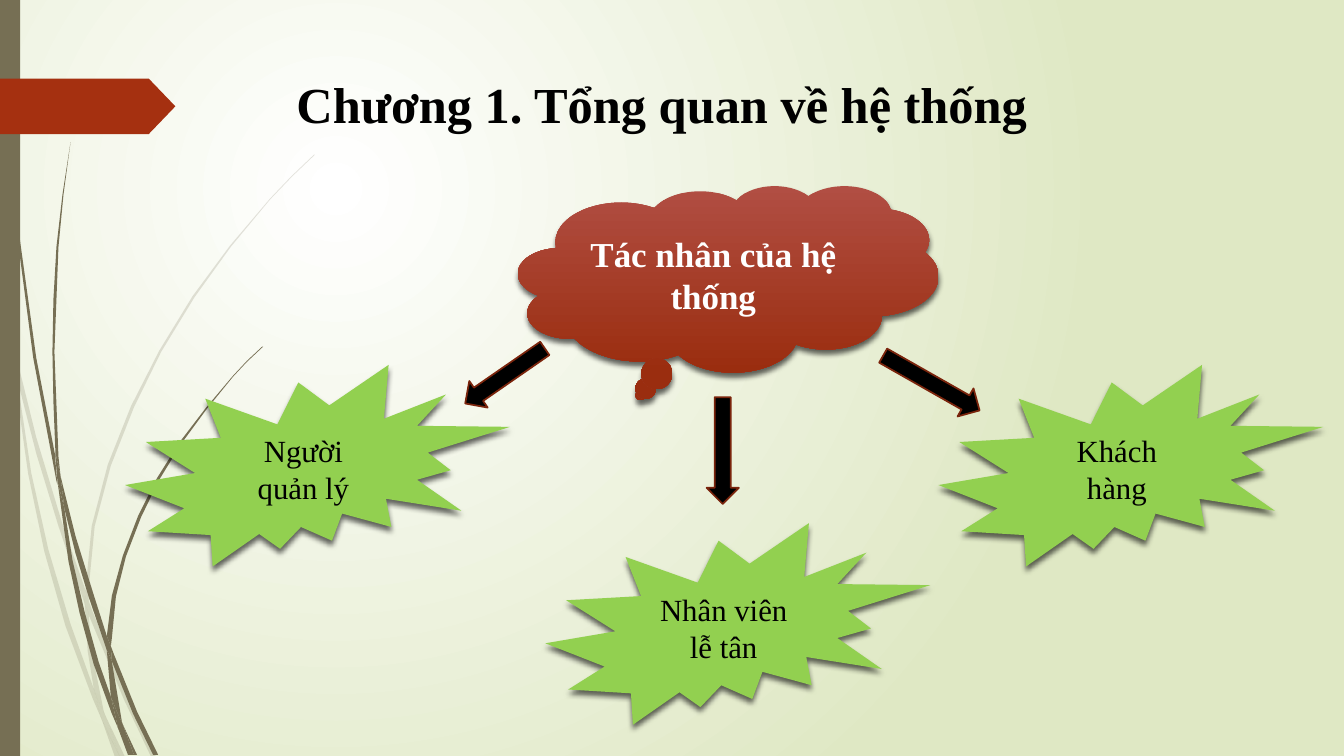
from lxml.etree import SubElement
from pptx import Presentation
from pptx.dml.color import RGBColor
from pptx.enum.shapes import MSO_SHAPE as Preset
from pptx.enum.text import MSO_ANCHOR as Anchor, PP_ALIGN as Align
from pptx.oxml.ns import qn
from pptx.util import Inches, Pt

WHITE = RGBColor(0xFF, 0xFF, 0xFF)
BLACK = RGBColor(0, 0, 0)
PALE_GREEN = RGBColor(0xDF, 0xE8, 0xC4)
OLIVE = RGBColor(0x76, 0x6F, 0x54)
RUST = RGBColor(0xA5, 0x30, 0x10)
DARK_RUST = RGBColor(0x7A, 0x24, 0x0C)
CLOUD_TOP = RGBColor(0xB1, 0x4E, 0x43)
CLOUD_BOTTOM = RGBColor(0x9A, 0x2D, 0x0F)
LIME = RGBColor(0x92, 0xD0, 0x50)

# Corners of the pieces that make up the blades of grass
PALE_GRASS = [
    [(.11, 3.5), (.09, 3.22), (0, 2.82), (0, 2.99), (.1, 3.44)],
    [(.58, 5.22), (.84, 5.99), (.85, 5.86), (.62, 5.2), (.36, 4.34), (.14, 3.45),
     (.17, 3.76), (.36, 4.5)],
    [(.92, 6.07), (.88, 5.96), (.88, 6.1), (1.23, 6.94), (1.5, 7.51), (1.55, 7.51),
     (1.27, 6.92)],
    [(1.19, 7.51), (1.24, 7.51), (1.05, 7.11)],
    [(.93, 6.83), (.7, 6.19), (.48, 5.45), (.31, 4.69), (.17, 3.76), (.11, 3.5),
     (.28, 4.7), (.44, 5.47), (.65, 6.21), (.92, 6.93), (1.01, 7.14), (.99, 7.07)],
    [(.84, 5.99), (.87, 6.46), (.93, 6.83), (.96, 6.92), (1.05, 7.11), (1.03, 7.06),
     (.91, 6.46), (.88, 6.1), (.88, 6.08)],
    [(.88, 5.84), (.94, 5.22), (1.1, 4.62), (1.33, 4.04), (1.6, 3.49), (1.93, 2.95),
     (2.29, 2.45), (2.68, 1.98), (2.9, 1.75), (3.12, 1.54), (3.12, 1.53), (2.89, 1.75),
     (2.68, 1.97), (2.28, 2.44), (1.91, 2.94), (1.58, 3.48), (1.3, 4.03), (1.07, 4.61),
     (.91, 5.22), (.85, 5.84), (.85, 5.86), (.88, 5.96)],
    [(1.01, 7.14), (1.14, 7.51), (1.19, 7.51)],
    [(.88, 6.08), (.88, 6.1), (.88, 5.96), (.85, 5.86), (.84, 5.99)],
    [(.96, 6.92), (.93, 6.83), (.99, 7.07), (1.01, 7.14), (1.19, 7.51), (1.05, 7.11)],
]
DARK_GRASS = [
    [(.07, 1.1), (.17, 2.33), (.33, 3.55), (.56, 4.77), (.57, 4.81), (.55, 4.57),
     (.55, 4.53), (.36, 3.55), (.19, 2.32), (.08, 1.09), (.05, .48), (.04, 0),
     (.03, 0), (.04, .48)],
    [(.88, 5.92), (1.06, 6.45), (1.06, 6.33), (1.06, 6.31), (.93, 5.9), (.75, 5.32),
     (.6, 4.72), (.64, 5.05), (.75, 5.49)],
    [(1.13, 6.49), (1.1, 6.41), (1.11, 6.56), (1.32, 7.08), (1.52, 7.49), (1.57, 7.49),
     (1.36, 7.06)],
    [(1.1, 6.91), (.98, 6.57), (.84, 6.07), (.72, 5.56), (.64, 5.05), (.57, 4.77),
     (.68, 5.57), (.79, 6.08), (.93, 6.59), (1.11, 7.08), (1.17, 7.22), (1.16, 7.17)],
    [(.6, 4.72), (.58, 4.53), (.54, 3.49), (.58, 2.45), (.63, 1.93), (.7, 1.41),
     (.62, 1.93), (.56, 2.45), (.53, 2.97), (.52, 3.49), (.53, 3.99), (.55, 4.49)],
    [(1.33, 7.49), (1.36, 7.49), (1.22, 7.19)],
    [(.57, 4.77), (.64, 5.05), (.6, 4.72), (.55, 4.49), (.55, 4.53)],
    [(1.11, 6.33), (1.15, 5.92), (1.25, 5.52), (1.4, 5.13), (1.58, 4.76), (1.8, 4.4),
     (2.05, 4.06), (2.31, 3.74), (2.45, 3.59), (2.61, 3.44), (2.6, 3.44), (2.45, 3.58),
     (2.31, 3.73), (2.04, 4.05), (1.78, 4.39), (1.56, 4.74), (1.37, 5.12), (1.22, 5.51),
     (1.11, 5.91), (1.06, 6.31), (1.1, 6.41)],
    [(1.17, 7.22), (1.27, 7.49), (1.31, 7.49)],
    [(1.06, 6.45), (1.1, 6.91), (1.16, 7.06), (1.22, 7.19), (1.21, 7.16), (1.11, 6.56),
     (1.09, 6.51)],
    [(1.06, 6.45), (1.09, 6.51), (1.11, 6.56), (1.1, 6.41), (1.06, 6.31), (1.06, 6.33)],
    [(1.16, 7.06), (1.1, 6.91), (1.16, 7.17), (1.17, 7.22), (1.3, 7.49), (1.33, 7.49),
     (1.22, 7.19)],
]


class SlideBuilder:
    font = "Times New Roman"

    def __init__(self, slide):
        self.slide = slide

    def background(self, center, edge):
        """Fill the background with a radial gradient around the upper left."""
        fill = self.slide.background.fill
        fill.gradient()
        for stop, color in zip(fill.gradient_stops, (center, edge)):
            stop.color.rgb = color
        gradient = self.slide.element.find(".//" + qn("a:gradFill"))
        gradient.remove(gradient.find(qn("a:lin")))
        circle = SubElement(gradient, qn("a:path"), {"path": "circle"})
        SubElement(circle, qn("a:fillToRect"),
                   {"l": "25000", "t": "25000", "r": "75000", "b": "75000"})

    def format_text(self, text_frame, text, size, color, bold, align, anchor):
        text_frame.text = text
        text_frame.word_wrap = True
        text_frame.vertical_anchor = anchor
        paragraph = text_frame.paragraphs[0]
        paragraph.alignment = align
        font = paragraph.runs[0].font
        font.name, font.size, font.bold = self.font, Pt(size), bold
        font.color.rgb = color

    def title(self, text, left, top, width, height):
        title = self.slide.shapes.title
        title.left, title.top = Inches(left), Inches(top)
        title.width, title.height = Inches(width), Inches(height)
        self.format_text(title.text_frame, text, 36, BLACK, True, Align.LEFT, Anchor.TOP)

    def paint(self, shape, color):
        shape.shadow.inherit = False
        shape.fill.solid()
        shape.fill.fore_color.rgb = color
        shape.line.fill.background()

    def shape(self, preset, left, top, width, height, color):
        shape = self.slide.shapes.add_shape(
            preset, Inches(left), Inches(top), Inches(width), Inches(height))
        self.paint(shape, color)
        return shape

    def grass(self, pieces, opacity=100):
        group = self.slide.shapes.add_group_shape()
        for piece in pieces:
            corners = [(Inches(x), Inches(y)) for x, y in piece]
            outline = group.shapes.build_freeform(*corners[0])
            outline.add_line_segments(corners[1:], close=True)
            shape = outline.convert_to_shape()
            self.paint(shape, OLIVE)
            if opacity < 100:
                color = shape.element.find(".//" + qn("a:srgbClr"))
                SubElement(color, qn("a:alpha"), val=str(opacity * 1000))

    def drop_shadow(self, shape):
        effects = shape.element.find(".//" + qn("a:effectLst"))
        shadow = SubElement(effects, qn("a:outerShdw"), blurRad=str(Pt(4)),
                            dist=str(Pt(3)), dir="5400000", rotWithShape="0")
        color = SubElement(shadow, qn("a:srgbClr"), val="000000")
        SubElement(color, qn("a:alpha"), val="60000")

    def burst(self, text, left, top):
        shape = self.shape(Preset.EXPLOSION2, left, top, 3.82, 2, LIME)
        self.drop_shadow(shape)
        self.format_text(shape.text_frame, text, 22, BLACK, False,
                         Align.CENTER, Anchor.MIDDLE)

    def cloud(self, text, left, top, width, height):
        shape = self.shape(Preset.CLOUD_CALLOUT, left, top, width, height, CLOUD_TOP)
        shape.fill.gradient()
        shape.fill.gradient_angle = 270
        for stop, color in zip(shape.fill.gradient_stops, (CLOUD_TOP, CLOUD_BOTTOM)):
            stop.color.rgb = color
        self.drop_shadow(shape)
        self.format_text(shape.text_frame, text, 25, WHITE, True,
                         Align.CENTER, Anchor.MIDDLE)

    def arrow(self, left, top, length, rotation=0):
        shape = self.shape(Preset.DOWN_ARROW, left, top, 0.32, length, BLACK)
        shape.rotation = rotation
        shape.line.color.rgb = DARK_RUST
        shape.line.width = Pt(1.25)


def main():
    presentation = Presentation()
    presentation.slide_width, presentation.slide_height = Inches(40 / 3), Inches(7.5)
    builder = SlideBuilder(presentation.slides.add_slide(presentation.slide_layouts[5]))

    builder.background(WHITE, PALE_GREEN)
    builder.grass(PALE_GRASS, opacity=20)
    builder.grass(DARK_GRASS)
    builder.shape(Preset.RECTANGLE, 0, 0, 0.2, 7.5, OLIVE)
    tag = builder.shape(Preset.PENTAGON, 0, 0.78, 1.74, 0.55, RUST)
    tag.adjustments[0] = 0.48

    builder.title("Chương 1. Tổng quan về hệ thống", 2.84, 0.68, 9.75, 1.4)
    for text, left, top in (("Người quản lý", 1.24, 3.62),
                            ("Nhân viên lễ tân", 5.41, 5.19),
                            ("Khách hàng", 9.31, 3.62)):
        builder.burst(text, left, top)
    builder.arrow(4.85, 3.25, 0.96, 55.3)
    builder.arrow(9.08, 3.25, 1.1, 299.6)
    builder.arrow(7.01, 3.94, 1.06)
    builder.cloud("Tác nhân của hệ thống", 5.14, 1.84, 4.17, 1.85)

    presentation.save("out.pptx")


if __name__ == "__main__":
    main()
